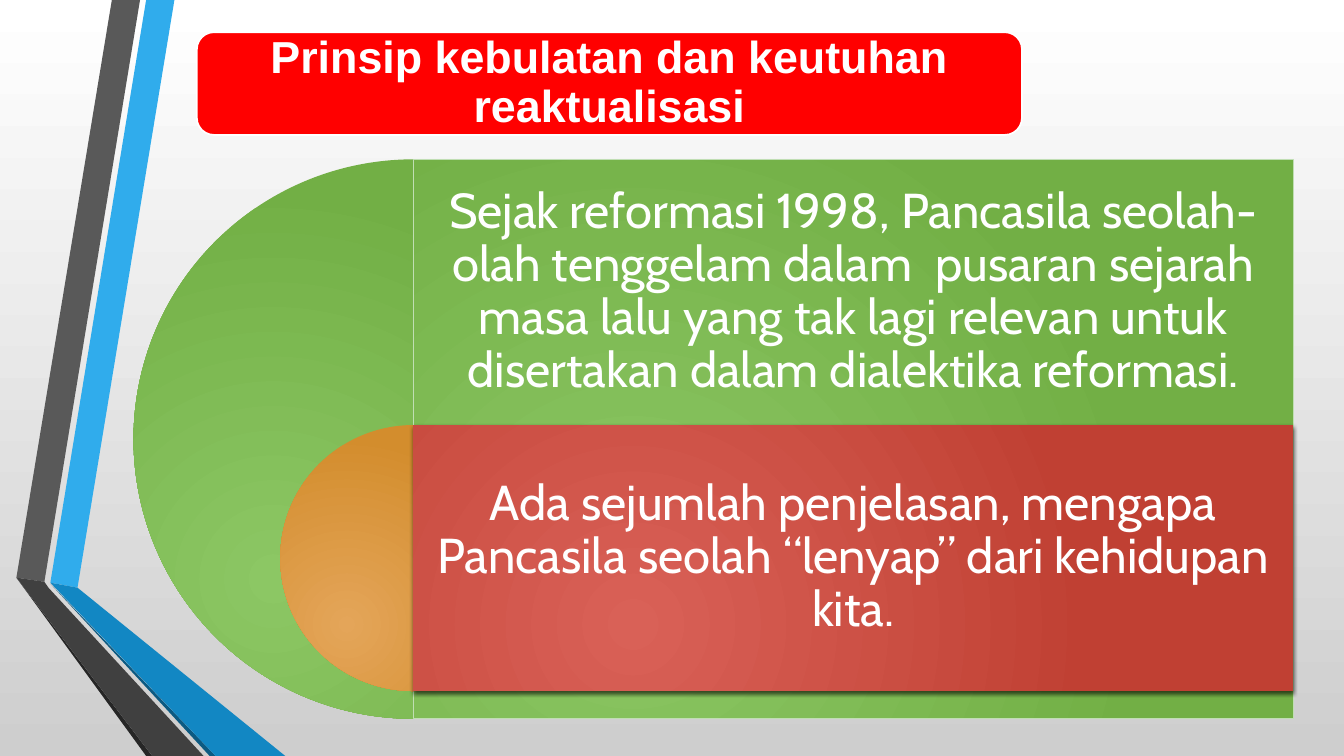
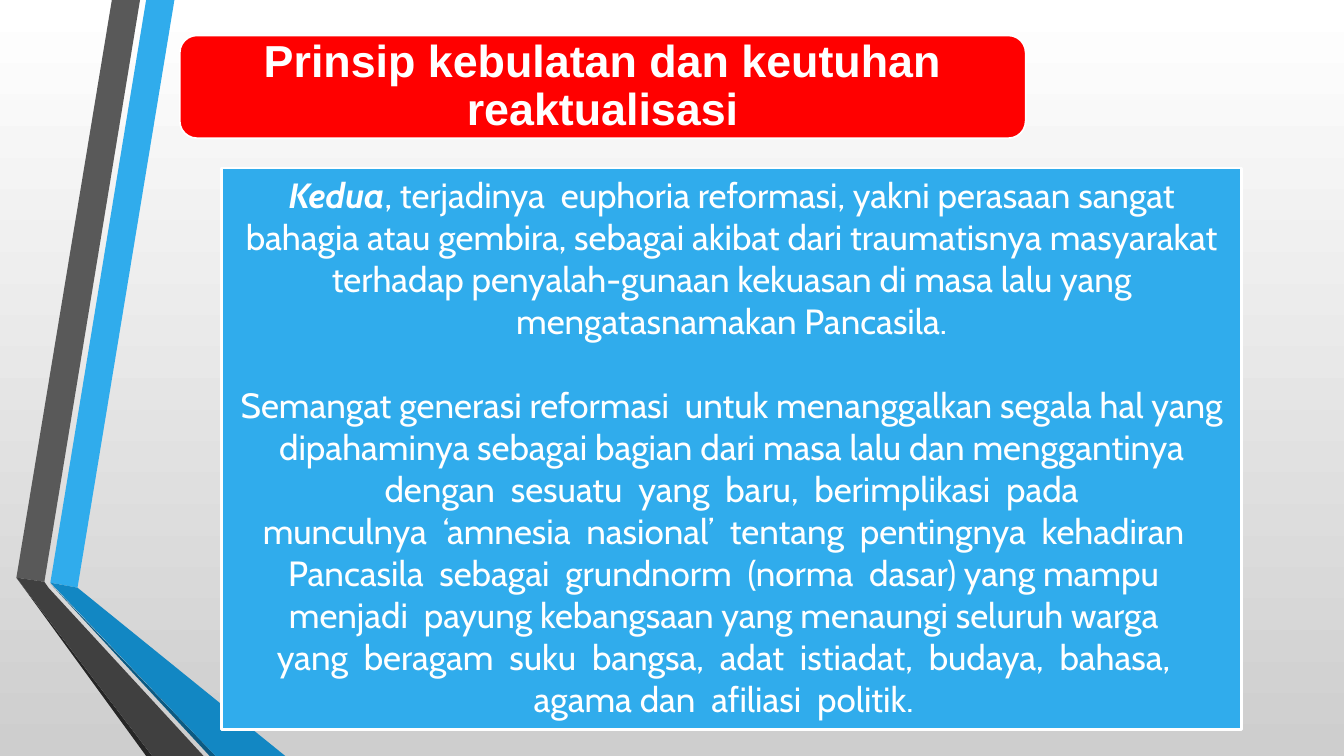
from lxml.etree import SubElement
from pptx import Presentation
from pptx.dml.color import RGBColor
from pptx.enum.shapes import MSO_SHAPE
from pptx.enum.text import MSO_ANCHOR, MSO_AUTO_SIZE, PP_ALIGN
from pptx.oxml.ns import qn
from pptx.util import Pt

# Colours and fonts
WHITE = RGBColor(0xFF, 0xFF, 0xFF)
SILVER = RGBColor(0xCE, 0xCE, 0xCE)
RED = RGBColor(0xFF, 0x00, 0x00)
SKY = RGBColor(0x30, 0xAC, 0xEC)
BLUE = RGBColor(0x12, 0x87, 0xC3)
NAVY = RGBColor(0x0C, 0x5A, 0x82)
GREY = RGBColor(0x59, 0x59, 0x59)
CHARCOAL = RGBColor(0x40, 0x40, 0x40)
BLACK = RGBColor(0x26, 0x26, 0x26)
PALE_GREEN = RGBColor(0xC0, 0xDE, 0xB3)
GREENS = (RGBColor(0x8C, 0xC7, 0x64), RGBColor(0x72, 0xAF, 0x45))
ORANGES = (RGBColor(0xE4, 0xA5, 0x59), RGBColor(0xD3, 0x8D, 0x2D))
BRICKS = (RGBColor(0xD9, 0x61, 0x57), RGBColor(0xC0, 0x40, 0x33))
TITLE_FONT, BODY_FONT = "Arial", "Cabin"

# Content: each paragraph is a list of (text, emphasised) runs.
# WIDE marks a space that is set with extra character spacing.
WIDE = "~"
TITLE = "Prinsip kebulatan dan keutuhan reaktualisasi"
LAYERS = [
    {"top": 113.8, "size": 399.6, "pie": GREENS, "panel": GREENS,
     "outline": PALE_GREEN, "shadow": False,
     "text": "Sejak reformasi 1998, Pancasila seolah-olah tenggelam dalam~pusaran "
             "sejarah masa lalu yang tak lagi relevan untuk disertakan dalam "
             "dialektika reformasi."},
    {"top": 303.6, "size": 190, "pie": ORANGES, "panel": BRICKS,
     "outline": None, "shadow": True,
     "text": "Ada sejumlah penjelasan, mengapa Pancasila seolah “lenyap” dari "
             "kehidupan kita."},
]
EUPHORIA = [
    ("Kedua", True),
    (", terjadinya~euphoria reformasi, yakni perasaan sangat bahagia atau gembira, "
     "sebagai akibat dari traumatisnya masyarakat terhadap penyalah-gunaan kekuasan "
     "di masa lalu yang mengatasnamakan Pancasila.", False),
]
AMNESIA = [
    "Semangat generasi reformasi~untuk menanggalkan segala hal yang dipahaminya "
    "sebagai bagian dari masa lalu dan menggantinya "
    "dengan~sesuatu~yang~baru,~berimplikasi~pada",
    "munculnya~‘amnesia~nasional’~tentang~pentingnya~kehadiran",
    "Pancasila~sebagai~grundnorm~(norma~dasar) yang mampu",
    "menjadi~payung kebangsaan yang menaungi seluruh warga",
    "yang~beragam~suku~bangsa,~adat~istiadat,~budaya,~bahasa,",
    "agama dan~afiliasi~politik.",
]

# Geometry in points
BANDS = [
    (SKY, [(36, 416.2), (55.4, 419.8), (124.6, 0), (104.4, 0)]),
    (GREY, [(100, 0), (79.9, 0), (11.7, 412.6), (31.7, 415.6)]),
    (BLACK, [(11.7, 412.6), (104.4, 540), (108.7, 540)]),
    (NAVY, [(36, 416.9), (149.8, 540), (154.1, 540)]),
    (BLUE, [(36, 416.2), (154.1, 540), (203.8, 540), (55.4, 419.8)]),
    (CHARCOAL, [(145.4, 540), (34.6, 419.8), (31.7, 415.6), (11.7, 412.6),
                (108.7, 540)]),
]
PANEL_LEFT, PANEL_WIDTH, TEXT_HEIGHT = 295.2, 628.6, 190


def write_text(frame, paragraphs, font=BODY_FONT, size=25, bold=False,
               line_spacing=1.0, anchor=MSO_ANCHOR.MIDDLE, gaps=None,
               right_indents=None, margins=(7.2, 3.6, 7.2, 3.6)):
    """Fill a frame; gaps and right_indents map a paragraph index to points."""
    frame.word_wrap = True
    frame.auto_size = MSO_AUTO_SIZE.NONE
    frame.vertical_anchor = anchor
    (frame.margin_left, frame.margin_top,
     frame.margin_right, frame.margin_bottom) = map(Pt, margins)
    for index, runs in enumerate(paragraphs):
        paragraph = frame.paragraphs[0] if index == 0 else frame.add_paragraph()
        paragraph.alignment = PP_ALIGN.CENTER
        paragraph.line_spacing = line_spacing
        paragraph.space_before = Pt((gaps or {}).get(index, 0))
        indent = (right_indents or {}).get(index)
        if indent:
            paragraph._p.get_or_add_pPr().set("marR", str(Pt(indent)))
        for text, emphasised in runs:
            for piece in text.replace(WIDE, f"{WIDE} {WIDE}").split(WIDE):
                run = paragraph.add_run()
                run.text = piece
                run.font.name = font
                run.font.size = Pt(size)
                run.font.bold = bold or emphasised
                run.font.italic = emphasised
                run.font.color.rgb = WHITE
                if piece == " ":
                    run._r.get_or_add_rPr().set("spc", str(round(size * 22.8)))


def style_shape(shape, fill=None, outline=None, width=0.75):
    shape.shadow.inherit = False
    if fill is not None:
        shape.fill.solid()
        shape.fill.fore_color.rgb = fill
    if outline is None:
        shape.line.fill.background()
    else:
        shape.line.color.rgb = outline
        shape.line.width = Pt(width)


def add_preset(slide, kind, box, **style):
    shape = slide.shapes.add_shape(kind, *map(Pt, box))
    style_shape(shape, **style)
    return shape


def set_gradient(fill, colours):
    fill.gradient()
    for stop, colour in zip(fill.gradient_stops, colours):
        stop.color.rgb = colour


def set_radial_gradient(shape, colours):
    set_gradient(shape.fill, colours)
    gradient = shape.element.spPr.find(qn("a:gradFill"))
    gradient.remove(gradient.find(qn("a:lin")))
    circle = SubElement(gradient, qn("a:path"), {"path": "circle"})
    SubElement(circle, qn("a:fillToRect"),
               {"l": "50000", "t": "100000", "r": "100000", "b": "50000"})


def add_shadow(shape):
    effects = shape.element.spPr.find(qn("a:effectLst"))
    shadow = SubElement(effects, qn("a:outerShdw"), {
        "blurRad": str(Pt(3)), "dist": str(Pt(2)), "dir": "5400000",
        "rotWithShape": "0"})
    colour = SubElement(shadow, qn("a:srgbClr"), {"val": "000000"})
    SubElement(colour, qn("a:alpha"), {"val": "64000"})


def decorate_master(master, slide):
    """Give the master its background and the folded bands."""
    set_gradient(master.background.fill, (WHITE, SILVER))
    master.background.fill.gradient_angle = 270
    for index, (colour, points) in enumerate(BANDS):
        corners = [(Pt(x), Pt(y)) for x, y in points]
        builder = slide.shapes.build_freeform(*corners[0])
        builder.add_line_segments(corners[1:], close=True)
        band = builder.convert_to_shape()
        style_shape(band, fill=colour)
        # Bands are drawn on a slide, then moved behind the master placeholders
        band.element.nvSpPr.cNvPr.set("id", str(100 + index))
        master.shapes.element.insert(2 + index, band.element)


def add_titled_slide(presentation, banner_box):
    slide = presentation.slides.add_slide(presentation.slide_layouts[5])
    title = slide.shapes.title
    title.left, title.top, title.width, title.height = map(Pt, banner_box)
    write_text(title.text_frame, [[(TITLE, False)]], font=TITLE_FONT, size=32,
               bold=True, line_spacing=0.9, margins=(9.6,) * 4)
    banner = add_preset(slide, MSO_SHAPE.ROUNDED_RECTANGLE, banner_box,
                        fill=RED, outline=WHITE, width=1.25)
    title.element.addprevious(banner.element)
    return slide


def add_layer(slide, layer):
    """Half disc on the left, panel with text on the right."""
    top, size = layer["top"], layer["size"]
    pie = add_preset(slide, MSO_SHAPE.PIE, (PANEL_LEFT - size / 2, top, size, size))
    pie.adjustments[0], pie.adjustments[1] = 54, 162
    set_radial_gradient(pie, layer["pie"])
    panel = add_preset(slide, MSO_SHAPE.RECTANGLE,
                       (PANEL_LEFT, top, PANEL_WIDTH, size), outline=layer["outline"])
    set_radial_gradient(panel, layer["panel"])
    if layer["shadow"]:
        add_shadow(panel)
    write_text(panel.text_frame, [[(layer["text"], False)]], size=35,
               line_spacing=0.9,
               margins=(10.8, 10.8, 10.8, 10.8 + size - TEXT_HEIGHT))


def main():
    presentation = Presentation()
    presentation.slide_width, presentation.slide_height = Pt(960), Pt(540)

    # Slide 1: layered half discs
    slide = add_titled_slide(presentation, (140.6, 23, 589.4, 73.4))
    decorate_master(presentation.slide_master, slide)
    for layer in LAYERS:
        add_layer(slide, layer)

    # Slide 2: text box
    slide = add_titled_slide(presentation, (128.4, 25.3, 604.2, 73.4))
    box = add_preset(slide, MSO_SHAPE.RECTANGLE, (158.2, 120, 728.6, 401),
                     fill=SKY, outline=WHITE, width=1.75)
    paragraphs = [EUPHORIA] + [[(line, False)] for line in AMNESIA]
    write_text(box.text_frame, paragraphs, anchor=MSO_ANCHOR.TOP, gaps={1: 30},
               right_indents=dict.fromkeys(range(2, 6), 11.4),
               margins=(10.8, 4.2, 10.8, 3.6))

    presentation.save("out.pptx")


if __name__ == "__main__":
    main()
